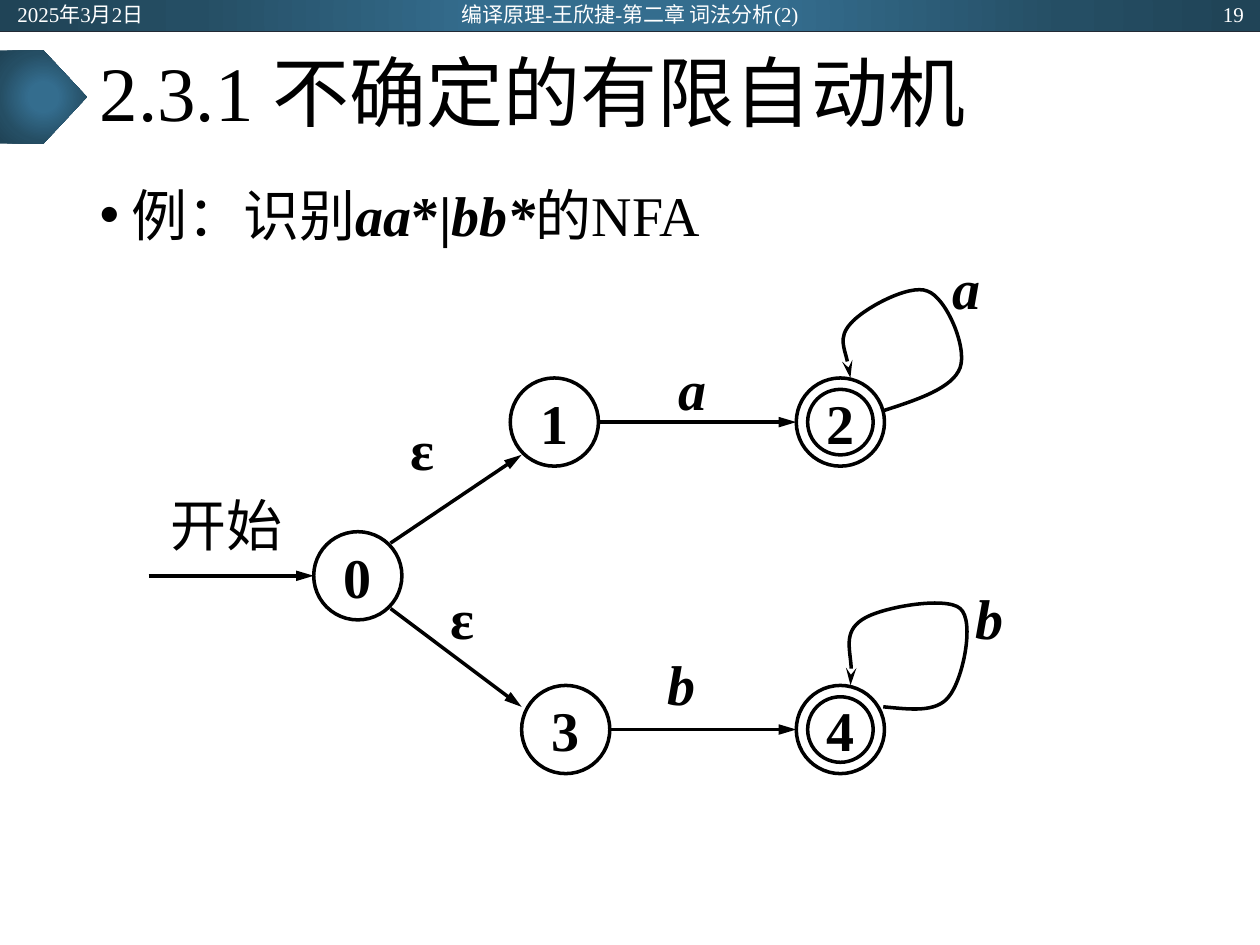
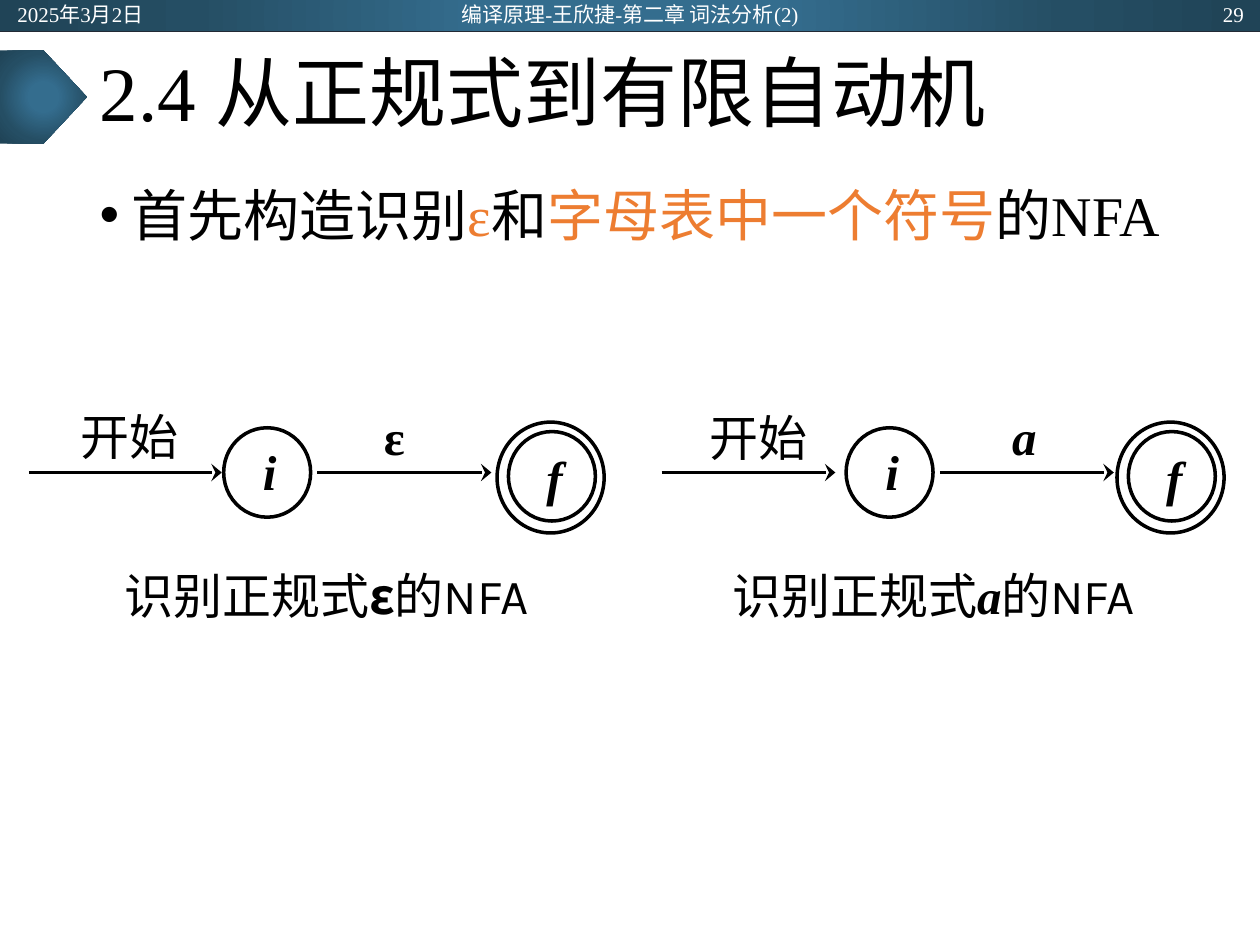
"""Build two lecture slides on nondeterministic finite automata."""
from lxml.etree import SubElement
from pptx import Presentation
from pptx.dml.color import RGBColor
from pptx.enum.shapes import MSO_CONNECTOR, MSO_SHAPE
from pptx.enum.text import MSO_ANCHOR, MSO_AUTO_SIZE, PP_ALIGN
from pptx.oxml import parse_xml
from pptx.oxml.ns import nsdecls, qn
from pptx.util import Inches, Pt

BLACK, WHITE, ORANGE, RULE = "000000", "FFFFFF", "ED7D31", "222A35"
BAND_STOPS = [(0, "346D8E"), (23, "346D8E"), (69, "254E64"), (97, "204457")]
SERIF, SANS, KARLA = "Times New Roman", "Noto Sans CJK SC", "Karla"
WIDTH, HEIGHT = 10, 7.5
BAND_HEIGHT = 0.25
LONG_TRIANGLE = {"type": "triangle", "w": "med", "len": "lg"}
LONG_STEALTH = {"type": "stealth", "w": "med", "len": "lg"}
WIDE_STEALTH = {"type": "stealth", "w": "lg", "len": "med"}
DATE = "2025年3月2日"
COURSE = "编译原理-王欣捷-第二章 词法分析(2)"

UNION = {
    "number": "19",
    "title": "2.3.1 不确定的有限自动机",
    "body": [("例：识别",), ("aa", "bi"), ("*|", "b"), ("bb*", "bi"), ("的NFA",)],
}
STATES = [("0", 2.84, 4.57, False), ("1", 4.4, 3.35, False), ("2", 6.67, 3.35, True),
          ("3", 4.49, 5.79, False), ("4", 6.67, 5.79, True)]
ARROWS = [((1.18, 4.57), (2.49, 4.57)), ((3.1, 4.31), (4.14, 3.61)),
          ((3.1, 4.83), (4.14, 5.61)), ((4.75, 3.35), (6.32, 3.35)),
          ((4.84, 5.79), (6.32, 5.79))]
LOOPS = [
    [(7.01, 3.26), (7.29, 3.17), (7.56, 3.08), (7.62, 2.92), (7.68, 2.76), (7.51, 2.36),
     (7.36, 2.31), (7.22, 2.25), (6.85, 2.45), (6.75, 2.57), (6.65, 2.68), (6.75, 2.92),
     (6.75, 3)],
    [(7.01, 5.61), (7.22, 5.63), (7.43, 5.66), (7.53, 5.53), (7.64, 5.4), (7.74, 4.93),
     (7.62, 4.83), (7.51, 4.73), (6.98, 4.82), (6.84, 4.92), (6.69, 5.02), (6.78, 5.28),
     (6.75, 5.44)],
]
EDGE_LABELS = [("开始", "", 1.8, 4.16), ("ε", "b", 3.35, 3.56), ("ε", "b", 3.67, 4.9),
               ("a", "bi", 5.5, 3.08), ("b", "bi", 5.41, 5.42),
               ("a", "bi", 7.67, 2.28), ("b", "bi", 7.85, 4.9)]

BASIC = {
    "number": "29",
    "title": "2.4 从正规式到有限自动机",
    "body": [("首先构造识别", "", BLACK, SANS), ("ε", "", ORANGE), ("和", "", BLACK, SANS),
             ("字母表中一个符号", "", ORANGE, SANS), ("的", "", BLACK, SANS), ("NFA",)],
}
MACHINES = [
    {"symbol": ("ε", "b"), "caption_symbol": ("ε", "b", BLACK, SANS), "start": (0.23, 1.76),
     "start_label": (1.03, 3.46), "initial": 2.12, "symbol_center": 3.13, "final": 4.37,
     "caption": 2.59},
    {"symbol": ("a", "bi"), "caption_symbol": ("a", "bi"), "start": (5.25, 6.63),
     "start_label": (6.02, 3.47), "initial": 7.06, "symbol_center": 8.13, "final": 9.29,
     "caption": 7.41},
]
AXIS = 3.75


def color(value):
    return RGBColor.from_string(value)


def write(paragraph, size, runs):
    for text, style, ink, font in (tuple(run) + ("", BLACK, SERIF)[len(run) - 1:] for run in runs):
        run = paragraph.add_run()
        run.text = text
        run.font.size = Pt(size)
        run.font.bold, run.font.italic = "b" in style, "i" in style
        run.font.color.rgb = color(ink)
        run.font.name = font
        SubElement(run.font._element, qn("a:ea")).set("typeface", SANS)


def set_frame(shape, margins, wrap):
    frame = shape.text_frame
    frame.auto_size = MSO_AUTO_SIZE.NONE
    frame.word_wrap = wrap
    frame.vertical_anchor = MSO_ANCHOR.MIDDLE
    (frame.margin_left, frame.margin_top,
     frame.margin_right, frame.margin_bottom) = map(Inches, margins)
    return frame.paragraphs[0]


def add_label(slide, runs, size, center, width, height=0.59):
    x, y = center
    box = slide.shapes.add_textbox(Inches(x - width / 2), Inches(y - height / 2),
                                   Inches(width), Inches(height))
    paragraph = set_frame(box, (0.04, 0.02, 0.04, 0.02), False)
    paragraph.alignment = PP_ALIGN.CENTER
    write(paragraph, size, runs)


def add_circle(slide, center, width, height):
    x, y = center
    circle = slide.shapes.add_shape(MSO_SHAPE.OVAL, Inches(x - width / 2), Inches(y - height / 2),
                                    Inches(width), Inches(height))
    circle.shadow.inherit = False
    circle.fill.background()
    outline(circle)
    return circle


def label_circle(circle, run, size, margins):
    paragraph = set_frame(circle, margins, False)
    paragraph.alignment = PP_ALIGN.CENTER
    write(paragraph, size, [run])


def outline(shape, ink=BLACK, width=2, head=None):
    shape.line.color.rgb = color(ink)
    shape.line.width = Pt(width)
    if head:
        SubElement(shape.line._get_or_add_ln(), qn("a:tailEnd"), head)


def add_line(slide, start, end, **style):
    line = slide.shapes.add_connector(MSO_CONNECTOR.STRAIGHT, *map(Inches, (*start, *end)))
    outline(line, **style)
    SubElement(line._element.spPr, qn("a:effectLst"))


def add_loop(slide, points):
    corners = [(Inches(x), Inches(y)) for x, y in points]
    builder = slide.shapes.build_freeform(*corners[0])
    builder.add_line_segments(corners[1:], close=False)
    loop = builder.convert_to_shape()
    loop.shadow.inherit = False
    loop.fill.background()
    outline(loop, head=LONG_STEALTH)
    segments = list(loop._element.iter(qn("a:lnTo")))
    outline_path = segments[0].getparent()
    for first in range(0, len(segments), 3):
        curve = SubElement(outline_path, qn("a:cubicBezTo"))
        for segment in segments[first:first + 3]:
            curve.append(segment[0])
            outline_path.remove(segment)


def add_band(slide, kind, top, width, height):
    band = slide.shapes.add_shape(kind, 0, Inches(top), Inches(width), Inches(height))
    band.shadow.inherit = False
    band.line.fill.background()
    stops = "".join(f'<a:gs pos="{position * 1000}"><a:srgbClr val="{value}"/></a:gs>'
                    for position, value in BAND_STOPS)
    gradient = parse_xml(
        f'<a:gradFill {nsdecls("a")} rotWithShape="1"><a:gsLst>{stops}</a:gsLst>'
        '<a:path path="circle"><a:fillToRect l="50000" t="50000" r="50000" b="50000"/></a:path>'
        '</a:gradFill>')
    band._element.spPr.find(qn("a:prstGeom")).addnext(gradient)


def place(shape, left, top, width, height):
    shape.left, shape.top, shape.width, shape.height = map(Inches, (left, top, width, height))


def add_slide(presentation, content):
    slide = presentation.slides.add_slide(presentation.slide_layouts[1])
    add_band(slide, MSO_SHAPE.RECTANGLE, 0, WIDTH, BAND_HEIGHT)
    add_line(slide, (0, BAND_HEIGHT), (WIDTH, BAND_HEIGHT), ink=RULE, width=0.5)
    add_band(slide, MSO_SHAPE.PENTAGON, 0.4, 0.69, 0.74)

    title, body = slide.placeholders
    place(title, 0.69, BAND_HEIGHT, 8.62, 1.04)
    paragraph = set_frame(title, (0.1, 0.05, 0.1, 0.05), True)
    paragraph.alignment = PP_ALIGN.LEFT
    paragraph.line_spacing = 0.9
    write(paragraph, 44, [(content["title"],)])

    place(body, 0.69, 1.38, 8.62, 5.38)
    paragraph = set_frame(body, (0.1, 0.05, 0.1, 0.05), True)
    body.text_frame.vertical_anchor = MSO_ANCHOR.TOP
    paragraph.space_before = Pt(0)
    properties = paragraph._p.get_or_add_pPr()
    properties.set("marL", str(Inches(0.25)))
    properties.set("indent", str(-Inches(0.25)))
    SubElement(properties, qn("a:buFont")).set("typeface", "Arial")
    SubElement(properties, qn("a:buChar")).set("char", "•")
    write(paragraph, 32, content["body"])

    for text, left, width, alignment in [(DATE, 0.04, 2.25, PP_ALIGN.LEFT),
                                         (COURSE, 3.31, 3.38, PP_ALIGN.CENTER),
                                         (content["number"], 7.72, 2.25, PP_ALIGN.RIGHT)]:
        box = slide.shapes.add_textbox(Inches(left), Inches(0.01), Inches(width), Inches(0.2))
        paragraph = set_frame(box, (0.1, 0.05, 0.1, 0.05), True)
        paragraph.alignment = alignment
        write(paragraph, 12, [(text, "", WHITE)])
    return slide


def draw_union(slide):
    for name, x, y, accepting in STATES:
        circle = add_circle(slide, (x, y), 0.7, 0.7)
        if accepting:
            circle = add_circle(slide, (x, y), 0.52, 0.52)
        label_circle(circle, (name, "b"), 32, (0.04, 0.02, 0.04, 0.02))
    for start, end in ARROWS:
        add_line(slide, start, end, head=LONG_TRIANGLE)
    for points in LOOPS:
        add_loop(slide, points)
    for text, style, x, y in EDGE_LABELS:
        add_label(slide, [(text, style)], 32, (x, y), 0.99 if text == "开始" else 0.31)


def draw_machine(slide, machine):
    initial, final = machine["initial"], machine["final"]
    first, last = machine["start"]
    add_line(slide, (first, AXIS), (last, AXIS), head=WIDE_STEALTH)
    add_line(slide, (initial + 0.4, AXIS), (initial + 1.78, AXIS), head=WIDE_STEALTH)
    label_circle(add_circle(slide, (initial, AXIS), 0.69, 0.71), ("i", "bi"), 28,
                 (0.06, 0.02, 0.02, 0.04))
    add_circle(slide, (final, AXIS + 0.04), 0.85, 0.88)
    label_circle(add_circle(slide, (final + 0.01, AXIS + 0.03), 0.69, 0.71), ("f", "bi"), 28,
                 (0.06, 0.02, 0.02, 0.01))
    add_label(slide, [("开始",)], 28, machine["start_label"], 1.3, 0.7)
    add_label(slide, [machine["symbol"]], 28, (machine["symbol_center"], 3.46), 0.56)
    caption = [("识别正规式", "", BLACK, SANS), machine["caption_symbol"],
               ("的", "", BLACK, SANS), ("NFA", "", BLACK, KARLA)]
    add_label(slide, caption, 28, (machine["caption"], 4.72), 5.12)


def main():
    presentation = Presentation()
    presentation.slide_width, presentation.slide_height = Inches(WIDTH), Inches(HEIGHT)
    draw_union(add_slide(presentation, UNION))
    basic_slide = add_slide(presentation, BASIC)
    for machine in MACHINES:
        draw_machine(basic_slide, machine)
    presentation.save("out.pptx")


if __name__ == "__main__":
    main()
